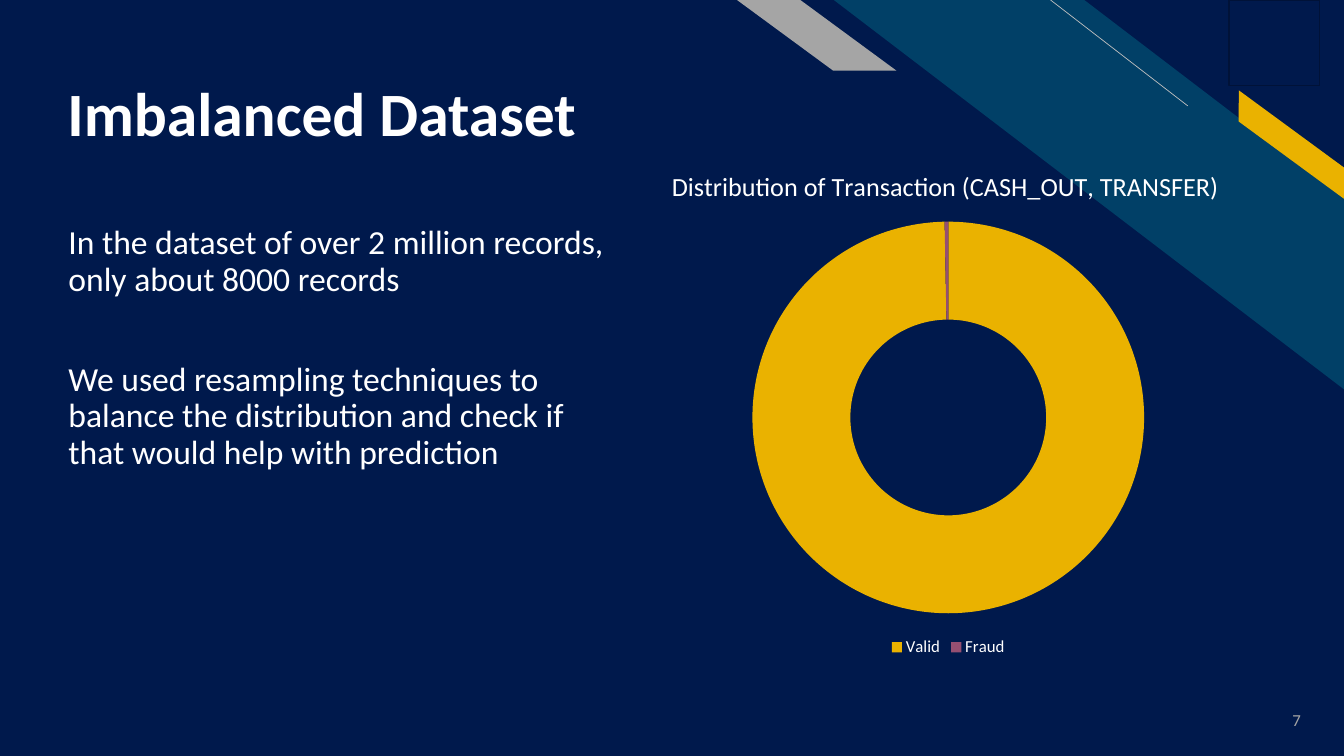
from dataclasses import dataclass
from lxml.etree import SubElement
from pptx import Presentation
from pptx.chart.data import CategoryChartData
from pptx.dml.color import RGBColor
from pptx.enum.chart import XL_CHART_TYPE, XL_LEGEND_POSITION
from pptx.enum.shapes import MSO_CONNECTOR, MSO_SHAPE
from pptx.enum.text import MSO_ANCHOR, PP_ALIGN
from pptx.oxml import parse_xml
from pptx.oxml.ns import nsdecls, qn
from pptx.util import Inches, Pt


@dataclass(frozen=True)
class Theme:
    font: str = "Calibri"
    navy: str = "00194C"
    edge: str = "001238"
    teal: str = "014067"
    gold: str = "EAB200"
    plum: str = "954F72"
    gray: str = "A5A5A5"
    pale: str = "BFBFBF"
    white: str = "FFFFFF"
    title: int = 44
    body: int = 24
    head: float = 18.7
    small: int = 12


THEME = Theme()


def paint(fill, color):
    fill.solid()
    fill.fore_color.rgb = RGBColor.from_string(color)


def style(font, size, color=THEME.white, bold=False):
    font.name = THEME.font
    font.size = Pt(size)
    font.bold = bold
    font.color.rgb = RGBColor.from_string(color)


def add_band(slide, kind, box, color, adjust=None, turn=0, edge=None):
    band = slide.shapes.add_shape(kind, *map(Inches, box))
    band.shadow.inherit = False
    paint(band.fill, color)
    if adjust is not None:
        band.adjustments[0] = adjust
        band._element.spPr.xfrm.set("flipH", "1")
    band.rotation = turn
    if edge:
        paint(band.line.fill, edge)
        band.line.width = Pt(1)
    else:
        band.line.fill.background()


def add_line(slide, start, end, color):
    line = slide.shapes.add_connector(
        MSO_CONNECTOR.STRAIGHT, *map(Inches, start + end))
    paint(line.line.fill, color)
    line.line.width = Pt(0.5)
    SubElement(line._element.spPr, qn("a:effectLst"))


def add_text(slide, box, paras, size, color=THEME.white, bold=False,
             anchor=MSO_ANCHOR.TOP, align=PP_ALIGN.LEFT, gaps=(0,), foot=0.05):
    frame = slide.shapes.add_textbox(*map(Inches, box)).text_frame
    frame.word_wrap = True
    frame.vertical_anchor = anchor
    frame.margin_bottom = Inches(foot)
    frame.text = "\n".join(paras)
    for para, gap in zip(frame.paragraphs, gaps):
        para.alignment = align
        para.line_spacing = 0.9
        para.space_before = Pt(gap)
        for run in para.runs:
            style(run.font, size, color, bold)


def add_donut(slide, box, title, shares, colors):
    data = CategoryChartData()
    data.categories = list(shares)
    data.add_series("Series 1", list(shares.values()))
    chart = slide.shapes.add_chart(
        XL_CHART_TYPE.DOUGHNUT, *map(Inches, box), data).chart
    style(chart.font, THEME.small)

    chart.has_title = True
    frame = chart.chart_title.text_frame
    frame.text = title
    style(frame.paragraphs[0].runs[0].font, THEME.head)
    chart.chart_title.include_in_layout = False

    chart.has_legend = True
    chart.legend.position = XL_LEGEND_POSITION.BOTTOM
    chart.legend.include_in_layout = False
    style(chart.legend.font, THEME.small)

    plot = chart.plots[0]
    plot.vary_by_categories = True
    plot._element.find(qn("c:holeSize")).set("val", "50")
    for spot, color in enumerate(colors):
        point = plot.series[0].points[spot]
        paint(point.format.fill, color)
        point.format.line.fill.background()

    area = chart._chartSpace.chart.plotArea
    for old in area.findall(qn("c:layout")):
        area.remove(old)
    frame = {"x": 0.25, "y": 0.14, "w": 0.5, "h": 0.77}
    parts = '<c:layoutTarget val="inner"/>'
    parts += "".join(f'<c:{key}Mode val="edge"/>' for key in "xy")
    parts += "".join(f'<c:{key} val="{val}"/>' for key, val in frame.items())
    area.insert(0, parse_xml(
        f'<c:layout {nsdecls("c")}><c:manualLayout>{parts}'
        "</c:manualLayout></c:layout>"))


def main():
    deck = Presentation()
    deck.slide_width, deck.slide_height = Inches(13.33), Inches(7.5)
    slide = deck.slides.add_slide(deck.slide_layouts[6])

    add_band(slide, MSO_SHAPE.RECTANGLE, (0, 0, 13.33, 7.5), THEME.navy)
    add_band(slide, MSO_SHAPE.DIAGONAL_STRIPE, (8.27, 0, 5.07, 3.87),
             THEME.teal, 0.51)
    add_line(slide, (11.78, 1.05), (10.42, 0), THEME.pale)
    add_band(slide, MSO_SHAPE.PARALLELOGRAM, (12.07, 1.31, 1.48, 0.25),
             THEME.gold, 0.72, turn=36.3)
    add_band(slide, MSO_SHAPE.PARALLELOGRAM, (7.31, 0, 1.58, 0.7),
             THEME.gray, 1.36)

    add_text(slide, (0.57, 0.23, 9.11, 1.26), ["Imbalanced Dataset"],
             THEME.title, bold=True, anchor=MSO_ANCHOR.BOTTOM, foot=0)
    add_text(slide, (0.58, 2.19, 5.71, 4.47), [
        "In the dataset of over 2 million records, only about 8000 records ",
        "We used resampling techniques to balance the distribution and "
        "check if that would help with prediction",
    ], THEME.body, gaps=(10, 46))
    add_donut(slide, (5.52, 1.47, 7.77, 5.09),
              "Distribution of Transaction (CASH_OUT, TRANSFER) ",
              {"Valid": 100, "Fraud": 0.3}, (THEME.gold, THEME.plum))
    add_text(slide, (12.19, 6.95, 0.81, 0.4), ["7"], THEME.small, THEME.gray,
             anchor=MSO_ANCHOR.MIDDLE, align=PP_ALIGN.RIGHT)
    add_band(slide, MSO_SHAPE.RECTANGLE, (12.19, 0, 0.9, 0.85), THEME.navy,
             edge=THEME.edge)
    deck.save("out.pptx")


main()
